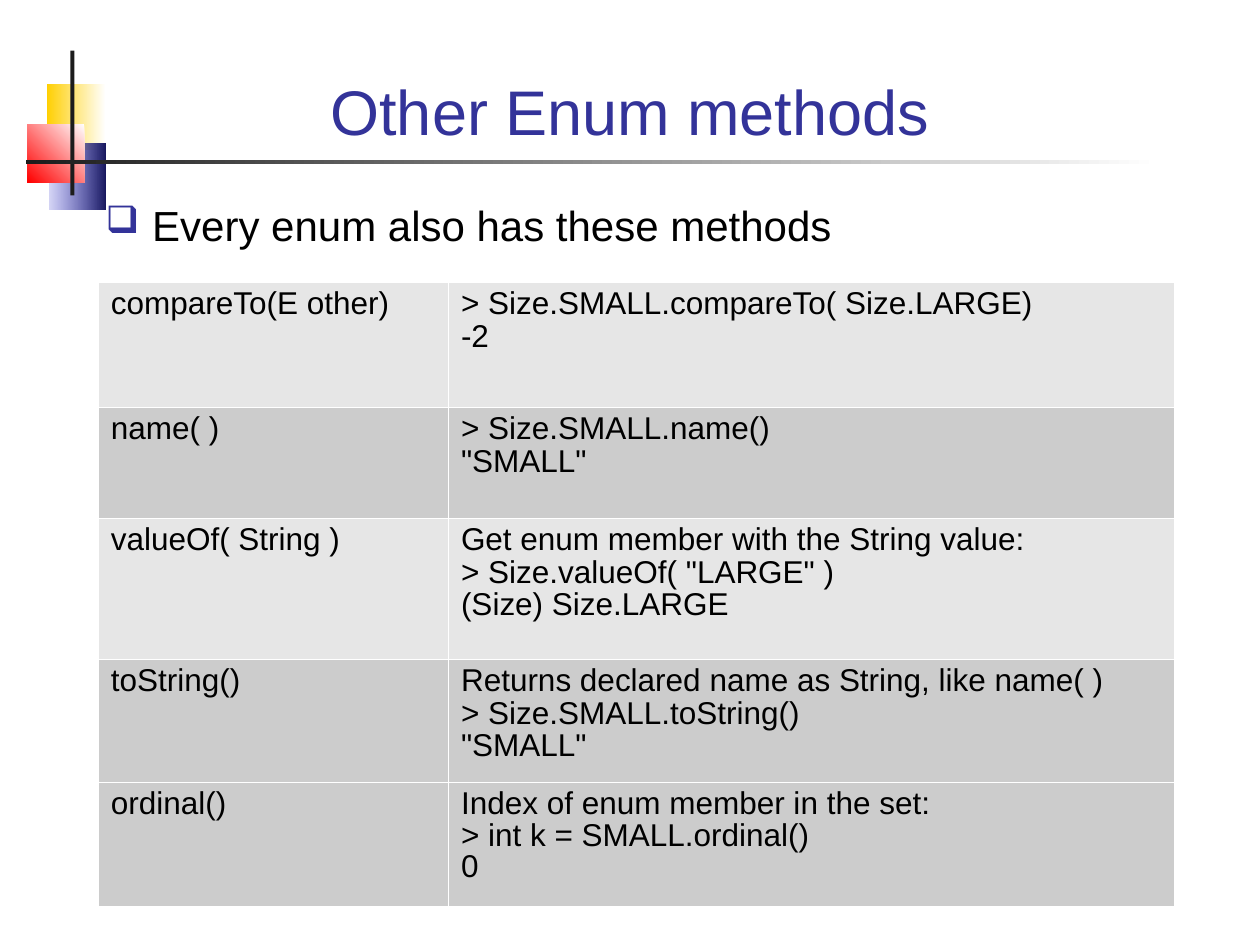
import dataclasses
from typing import Optional

import lxml.etree
import pptx
import pptx.dml.color
import pptx.enum.shapes
import pptx.enum.text
import pptx.oxml.ns
import pptx.util

COLORS = {
    "white": "FFFFFF",
    "yellow": "FFCF01",
    "navy": "17175E",
    "blue": "3333CC",
    "red": "FF0000",
    "charcoal": "1C1C1C",
    "heading": "333399",
    "text": "000000",
    "light": "E6E6E6",
    "dark": "CCCCCC",
}
FONT = "Arial"
Cm = pptx.util.Cm
qn = pptx.oxml.ns.qn


@dataclasses.dataclass
class Box:
    left: float
    top: float
    width: float
    height: float

    def lengths(self) -> list:
        return [Cm(value) for value in dataclasses.astuple(self)]


@dataclasses.dataclass
class Ornament:
    box: Box
    start: str
    end: Optional[str] = None
    angle: int = 180
    end_alpha: Optional[int] = None


@dataclasses.dataclass
class Method:
    signature: str
    example: str
    height: float
    tint: str
    later_spacing: float = 0.93


ORNAMENTS = [
    Ornament(Box(0.94, 1.7, 1.19, 1.32), "white", "yellow"),
    Ornament(Box(0.99, 2.9, 1.14, 1.32), "navy", "blue", end_alpha=20),
    Ornament(Box(0.56, 2.51, 1.14, 1.17), "white", "red", angle=225),
    Ornament(Box(1.42, 1.02, 0.08, 2.92), "charcoal"),
    Ornament(Box(0.53, 3.23, 22.83, 0.08), "white", "charcoal"),
]

METHODS = [
    Method("compareTo(E other)", "> Size.SMALL.compareTo( Size.LARGE)\n-2", 2.51, "light"),
    Method("name( )", '> Size.SMALL.name()\n"SMALL"', 2.24, "dark"),
    Method(
        "valueOf( String )",
        'Get enum member with the String value:\n> Size.valueOf( "LARGE" )\n(Size) Size.LARGE',
        2.84,
        "light",
    ),
    Method(
        "toString()",
        'Returns declared name as String, like name( )\n> Size.SMALL.toString()\n"SMALL"',
        2.49,
        "dark",
    ),
    Method(
        "ordinal()",
        "Index of enum member in the set:\n> int k = SMALL.ordinal()\n0",
        2.49,
        "dark",
        0.88,
    ),
]
COLUMN_WIDTHS = [7.06, 14.63]


def rgb(color: str) -> pptx.dml.color.RGBColor:
    return pptx.dml.color.RGBColor.from_string(COLORS[color])


def format_runs(paragraph, size: int, color: str) -> None:
    for run in paragraph.runs:
        run.font.name = FONT
        run.font.size = pptx.util.Pt(size)
        run.font.color.rgb = rgb(color)


def add_ornament(slide, ornament: Ornament) -> None:
    shape = slide.shapes.add_shape(
        pptx.enum.shapes.MSO_SHAPE.RECTANGLE, *ornament.box.lengths()
    )
    shape.shadow.inherit = False
    shape.line.fill.background()
    if ornament.end is None:
        shape.fill.solid()
        shape.fill.fore_color.rgb = rgb(ornament.start)
        return
    shape.fill.gradient()
    shape.fill.gradient_angle = ornament.angle
    for stop, color in zip(shape.fill.gradient_stops, (ornament.start, ornament.end)):
        stop.color.rgb = rgb(color)
    if ornament.end_alpha is not None:
        end_color = list(shape._element.spPr.iter(qn("a:srgbClr")))[-1]
        lxml.etree.SubElement(end_color, qn("a:alpha"), val=str(ornament.end_alpha * 1000))


def add_text(slide, box: Box, text: str, size: int, color: str):
    frame = slide.shapes.add_textbox(*box.lengths()).text_frame
    frame.word_wrap = True
    frame.text = text
    format_runs(frame.paragraphs[0], size, color)
    return frame


def add_bullet(paragraph, symbol: str, color: str, percent: int, indent: float) -> None:
    properties = paragraph._p.get_or_add_pPr()
    properties.set("marL", str(Cm(indent)))
    properties.set("indent", str(-Cm(indent)))
    bullet_color = lxml.etree.SubElement(properties, qn("a:buClr"))
    lxml.etree.SubElement(bullet_color, qn("a:srgbClr"), val=COLORS[color])
    lxml.etree.SubElement(properties, qn("a:buSzPct"), val=str(percent * 1000))
    lxml.etree.SubElement(properties, qn("a:buChar"), char=symbol)


def set_borders(cell, color: str, width: float) -> None:
    properties = cell._tc.get_or_add_tcPr()
    for position, side in enumerate(("a:lnL", "a:lnR", "a:lnT", "a:lnB")):
        line = lxml.etree.Element(qn(side), w=str(pptx.util.Pt(width)))
        fill = lxml.etree.SubElement(line, qn("a:solidFill"))
        lxml.etree.SubElement(fill, qn("a:srgbClr"), val=COLORS[color])
        properties.insert(position, line)


def fill_cell(cell, text: str, method: Method) -> None:
    cell.text_frame.text = text
    for position, paragraph in enumerate(cell.text_frame.paragraphs):
        paragraph.line_spacing = method.later_spacing if position else 0.93
        format_runs(paragraph, 18, "text")
    cell.fill.solid()
    cell.fill.fore_color.rgb = rgb(method.tint)
    set_borders(cell, "white", 0.06)


def add_methods(slide, left: float, top: float) -> None:
    box = Box(left, top, sum(COLUMN_WIDTHS), sum(method.height for method in METHODS))
    table = slide.shapes.add_table(
        len(METHODS), len(COLUMN_WIDTHS), *box.lengths()
    ).table
    table.first_row = False
    table.horz_banding = False
    for column, width in zip(table.columns, COLUMN_WIDTHS):
        column.width = Cm(width)
    for row, method in zip(table.rows, METHODS):
        row.height = Cm(method.height)
        for cell, text in zip(row.cells, (method.signature, method.example)):
            fill_cell(cell, text, method)


def main() -> None:
    presentation = pptx.Presentation()
    presentation.slide_width = Cm(25.4)
    presentation.slide_height = Cm(19.05)
    slide = presentation.slides.add_slide(presentation.slide_layouts[6])

    for ornament in ORNAMENTS:
        add_ornament(slide, ornament)

    title = add_text(slide, Box(1.7, 0.71, 22, 2.41), "Other Enum methods", 36, "heading")
    title.vertical_anchor = pptx.enum.text.MSO_ANCHOR.BOTTOM
    title.paragraphs[0].alignment = pptx.enum.text.PP_ALIGN.CENTER

    intro = add_text(
        slide, Box(1.88, 3.89, 22, 7.62), "Every enum also has these methods", 24, "text"
    )
    add_bullet(intro.paragraphs[0], "❑", "heading", 90, 0.94)

    add_methods(slide, 1.98, 5.69)
    presentation.save("out.pptx")


if __name__ == "__main__":
    main()
